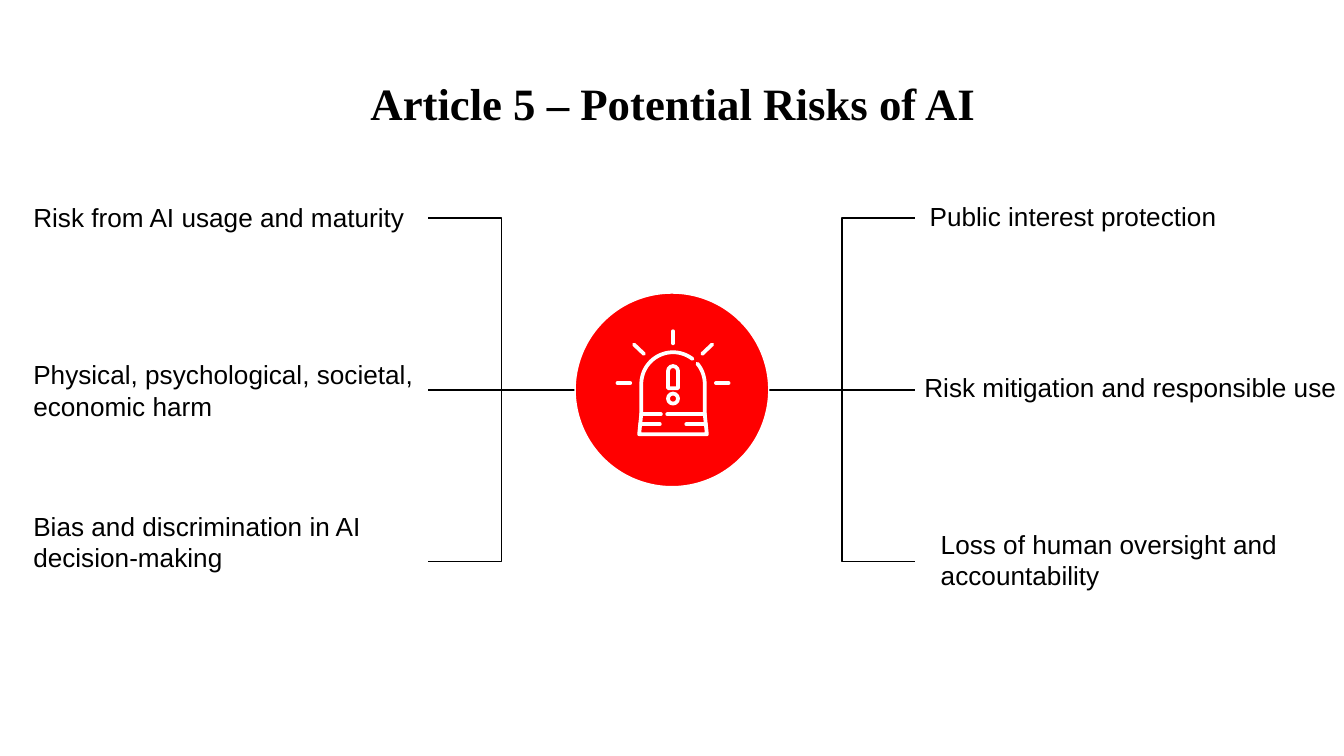
from math import cos, radians, sin

from lxml.etree import SubElement
from pptx import Presentation
from pptx.dml.color import RGBColor
from pptx.enum.shapes import MSO_CONNECTOR as CONNECTOR, MSO_SHAPE as SHAPE
from pptx.enum.text import MSO_ANCHOR as ANCHOR, PP_ALIGN as ALIGN
from pptx.oxml.ns import qn
from pptx.util import Cm, Pt

THEME = {
    "text": RGBColor(0x00, 0x00, 0x00),
    "alert": RGBColor(0xFF, 0x00, 0x00),
    "icon": RGBColor(0xFF, 0xFF, 0xFF),
    "title_font": "Times New Roman",
    "body_font": "Arial",
    "title_size": Pt(24),
    "body_size": Pt(14),
    "thin": Pt(0.75),
    "thick": Pt(2),
}


def write_text(sp, text, font=THEME["body_font"], size=THEME["body_size"],
               bold=False, align=ALIGN.LEFT, anchor=ANCHOR.TOP):
    tf = sp.text_frame
    tf.word_wrap = True
    tf.vertical_anchor = anchor
    tf.margin_left = tf.margin_right = tf.margin_top = tf.margin_bottom = Cm(0.25)
    p = tf.paragraphs[0]
    p.alignment = align
    r = p.add_run()
    r.text = text
    r.font.name, r.font.size, r.font.bold = font, size, bold
    r.font.color.rgb = THEME["text"]


def draw_line(sp, color, width, cap="flat"):
    sp.line.color.rgb = color
    sp.line.width = width
    spPr = sp.element.spPr
    spPr.find(qn("a:ln")).set("cap", cap)
    SubElement(spPr, qn("a:effectLst"))  # no shadow


prs = Presentation()
prs.slide_width, prs.slide_height = Cm(25.4), Cm(14.29)
slide = prs.slides.add_slide(prs.slide_layouts[5])

# Title
title = slide.shapes.title
title.left, title.top, title.width, title.height = Cm(1.27), Cm(1.14), Cm(22.89), Cm(1.6)
write_text(title, "Article 5 – Potential Risks of AI", font=THEME["title_font"],
           size=THEME["title_size"], bold=True, align=ALIGN.CENTER, anchor=ANCHOR.MIDDLE)

# Risk labels: left, top, width, height
labels = [
    ("Risk from AI usage and maturity", 0.38, 3.56, 8.43, 2.11),
    ("Physical, psychological, societal, economic harm", 0.38, 6.53, 7.75, 2.03),
    ("Bias and discrimination in AI decision-making", 0.38, 9.4, 8.46, 2.03),
    ("Public interest protection", 17.32, 3.53, 6.1, 2.03),
    ("Risk mitigation and responsible use", 17.22, 6.78, 8.46, 2.11),
    ("Loss of human oversight and accountability", 17.53, 9.73, 9.25, 2.03),
]
for text, *box in labels:
    write_text(slide.shapes.add_textbox(*map(Cm, box)), text)

# Branches from the hub to the labels
HUB_X, HUB_Y, RADIUS = 12.7, 7.37, 1.83
REACH, ROW_GAP = 2.77, 3.25
for side in (-1, 1):
    for row in (-1, 0, 1):
        start = HUB_X + side * RADIUS
        branch = slide.shapes.add_connector(
            CONNECTOR.ELBOW, Cm(start), Cm(HUB_Y),
            Cm(start + side * REACH), Cm(HUB_Y + row * ROW_GAP))
        draw_line(branch, THEME["text"], THEME["thin"])

# Hub
hub = slide.shapes.add_shape(SHAPE.OVAL, Cm(HUB_X - RADIUS), Cm(HUB_Y - RADIUS),
                             Cm(2 * RADIUS), Cm(2 * RADIUS))
hub.fill.solid()
hub.fill.fore_color.rgb = THEME["alert"]
draw_line(hub, THEME["icon"], THEME["thin"])

# Siren icon, measured from the centre of its dome
ICON_X, ICON_Y, DOME = 12.72, 7.26, 0.6
icon = slide.shapes.add_group_shape().shapes

# Straight strokes: rays, then the bands of the base
strokes = [(0, -1, 0, -0.77), (-0.6, 0.57, -0.23, 0.57), (-0.11, 0.57, 0.6, 0.57)]
for side in (-1, 1):
    strokes += [
        (side * 0.55, -0.57, side * 0.74, -0.75),
        (side * 0.81, -0.02, side * 1.05, -0.02),
        (side * 0.25, 0.76, side * 0.62, 0.76),
    ]
for x1, y1, x2, y2 in strokes:
    stroke = icon.add_connector(CONNECTOR.STRAIGHT, Cm(ICON_X + x1), Cm(ICON_Y + y1),
                                Cm(ICON_X + x2), Cm(ICON_Y + y2))
    draw_line(stroke, THEME["icon"], THEME["thick"], cap="rnd")

# Dome in two arcs with a gap, and the foot of the base
arcs = [[(DOME * cos(radians(a)), -DOME * sin(radians(a))) for a in angles]
        for angles in (range(180, 51, -4), range(40, -1, -4))]
outlines = [
    [(-DOME, 0.57)] + arcs[0],
    arcs[1] + [(DOME, 0.57)],
    [(-DOME, 0.57), (-0.64, 0.95), (0.64, 0.95), (DOME, 0.57)],
]
for outline in outlines:
    points = [(Cm(ICON_X + x), Cm(ICON_Y + y)) for x, y in outline]
    builder = icon.build_freeform(*points[0], scale=1.0)
    builder.add_line_segments(points[1:], close=False)
    sp = builder.convert_to_shape()
    sp.fill.background()
    draw_line(sp, THEME["icon"], THEME["thick"], cap="rnd")

# Exclamation mark: bar and dot
for shape, top, width, height in [(SHAPE.ROUND_2_SAME_RECTANGLE, -0.34, 0.19, 0.42),
                                  (SHAPE.OVAL, 0.18, 0.19, 0.19)]:
    sp = icon.add_shape(shape, Cm(ICON_X - width / 2), Cm(ICON_Y + top), Cm(width), Cm(height))
    if shape == SHAPE.ROUND_2_SAME_RECTANGLE:
        sp.adjustments[0] = 0.5
    sp.fill.background()
    draw_line(sp, THEME["icon"], THEME["thick"])

prs.save("out.pptx")
